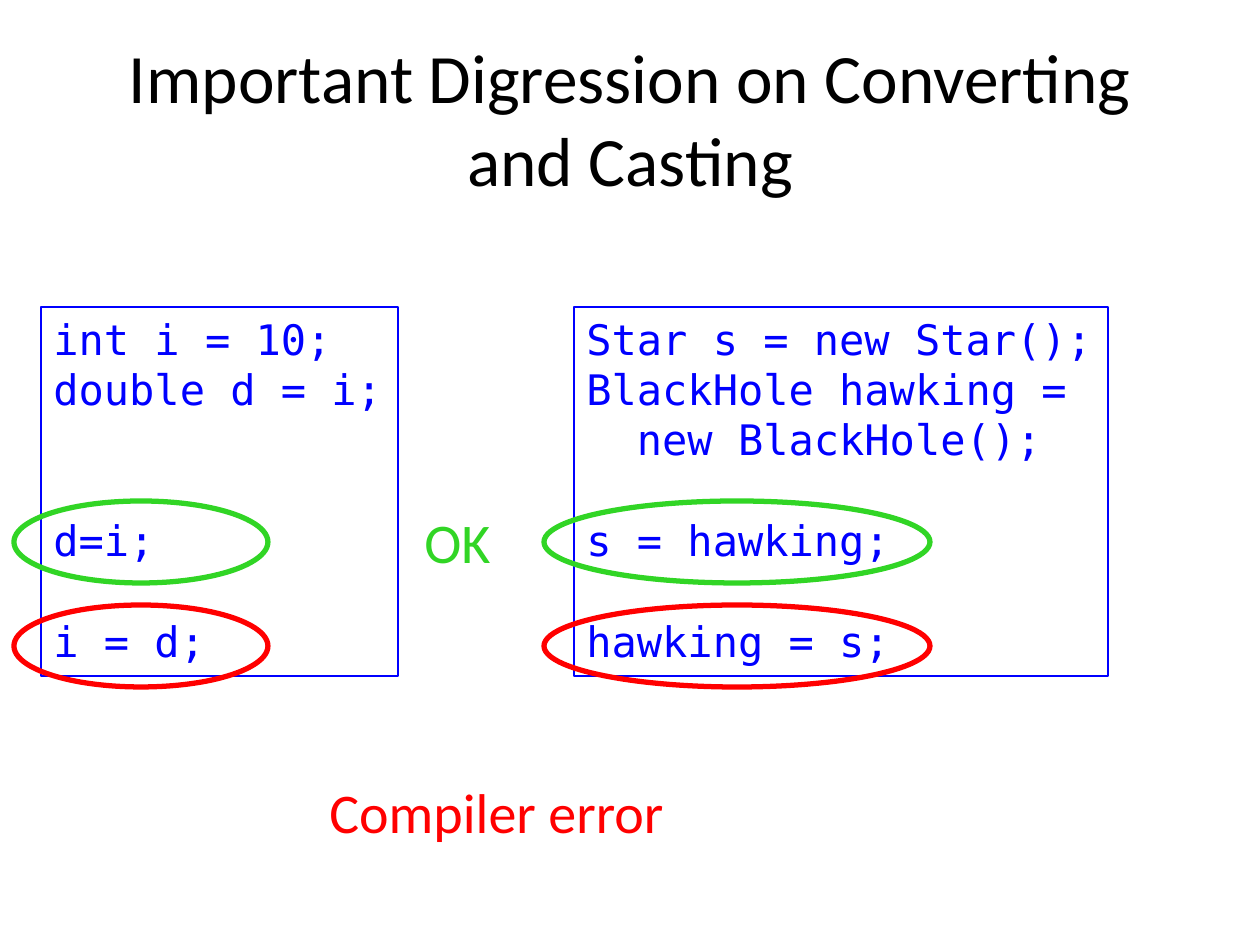
from dataclasses import dataclass

from pptx import Presentation
from pptx import util as u
from pptx.dml.color import RGBColor
from pptx.enum import shapes, text

PX = 914400 // 126  # EMU per px


@dataclass(frozen=True)
class Theme:
    body: str = "Calibri"
    mono: str = "DejaVu Sans Mono"
    black: RGBColor = RGBColor(0, 0, 0)
    blue: RGBColor = RGBColor(0, 0, 255)
    green: RGBColor = RGBColor(0x31, 0xD5, 0x25)
    red: RGBColor = RGBColor(255, 0, 0)
    title: float = 39.6
    note: int = 32
    code: int = 24
    pitch: float = 28.8
    thin: float = 0.75
    thick: int = 3


@dataclass(frozen=True)
class Box:
    x: int
    y: int
    w: int
    h: int

    def emu(self) -> tuple[int, ...]:
        return tuple(n * PX for n in (self.x, self.y, self.w, self.h))


@dataclass(frozen=True)
class Line:
    words: str
    gap: int = 0  # empty code lines above


@dataclass(frozen=True)
class Panel:
    box: Box
    lines: tuple[Line, ...]
    ring_x: int
    ring_w: int


@dataclass(frozen=True)
class Note:
    words: str
    box: Box
    color: RGBColor


T = Theme()
TOP, TALL = 307, 369
RING_H = 82
RINGS = ((501, T.green), (605, T.red))

PANELS = (
    Panel(Box(41, TOP, 357, TALL),
          (Line("int i = 10;"), Line("double d = i;"),
           Line("d=i;", 2), Line("i = d;", 1)), 14, 254),
    Panel(Box(574, TOP, 534, TALL),
          (Line("Star s = new Star();"), Line("BlackHole hawking ="),
           Line("  new BlackHole();"),
           Line("s = hawking;", 1), Line("hawking = s;", 1)), 544, 386),
)
NOTES = (
    Note("OK", Box(412, 501, 92, 81), T.green),
    Note("Compiler error", Box(317, 771, 364, 81), T.red),
)


def style(para, face: str, size: float, color: RGBColor) -> None:
    para.font.name = face
    para.font.size = u.Pt(size)
    para.font.color.rgb = color


def outline(slide, kind, box: Box, color: RGBColor, width: float):
    shape = slide.shapes.add_shape(kind, *box.emu())
    shape.shadow.inherit = False
    shape.fill.background()
    shape.line.color.rgb = color
    shape.line.width = u.Pt(width)
    return shape


def add_code(slide, panel: Panel) -> None:
    shape = outline(slide, shapes.MSO_SHAPE.RECTANGLE, panel.box, T.blue, T.thin)
    frame = shape.text_frame
    frame.word_wrap = False
    frame.vertical_anchor = text.MSO_ANCHOR.TOP
    for i, line in enumerate(panel.lines):
        para = frame.add_paragraph() if i else frame.paragraphs[0]
        para.text = line.words
        para.alignment = text.PP_ALIGN.LEFT
        para.line_spacing = u.Pt(T.pitch)
        if line.gap:
            para.space_before = u.Pt(line.gap * T.pitch)
        style(para, T.mono, T.code, T.blue)


def add_note(slide, note: Note) -> None:
    frame = slide.shapes.add_textbox(*note.box.emu()).text_frame
    frame.word_wrap = False
    para = frame.paragraphs[0]
    para.text = note.words
    style(para, T.body, T.note, note.color)


def add_title(slide, words: str, box: Box) -> None:
    title = slide.shapes.title
    title.left, title.top, title.width, title.height = box.emu()
    frame = title.text_frame
    frame.auto_size = text.MSO_AUTO_SIZE.NONE
    frame.vertical_anchor = text.MSO_ANCHOR.MIDDLE
    para = frame.paragraphs[0]
    para.text = words
    para.alignment = text.PP_ALIGN.CENTER
    style(para, T.body, T.title, T.black)


def main() -> None:
    prs = Presentation()
    prs.slide_width, prs.slide_height = u.Inches(10), u.Inches(7.5)
    slide = prs.slides.add_slide(prs.slide_layouts[5])

    add_title(slide, "Important Digression on Converting and Casting",
              Box(63, 38, 1134, 158))

    # Code panels
    for panel in PANELS:
        add_code(slide, panel)

    # Rings round the legal and illegal assignments
    for y, color in RINGS:
        for panel in PANELS:
            ring = Box(panel.ring_x, y, panel.ring_w, RING_H)
            outline(slide, shapes.MSO_SHAPE.OVAL, ring, color, T.thick)

    # Verdicts
    for note in NOTES:
        add_note(slide, note)

    prs.save("out.pptx")


if __name__ == "__main__":
    main()
